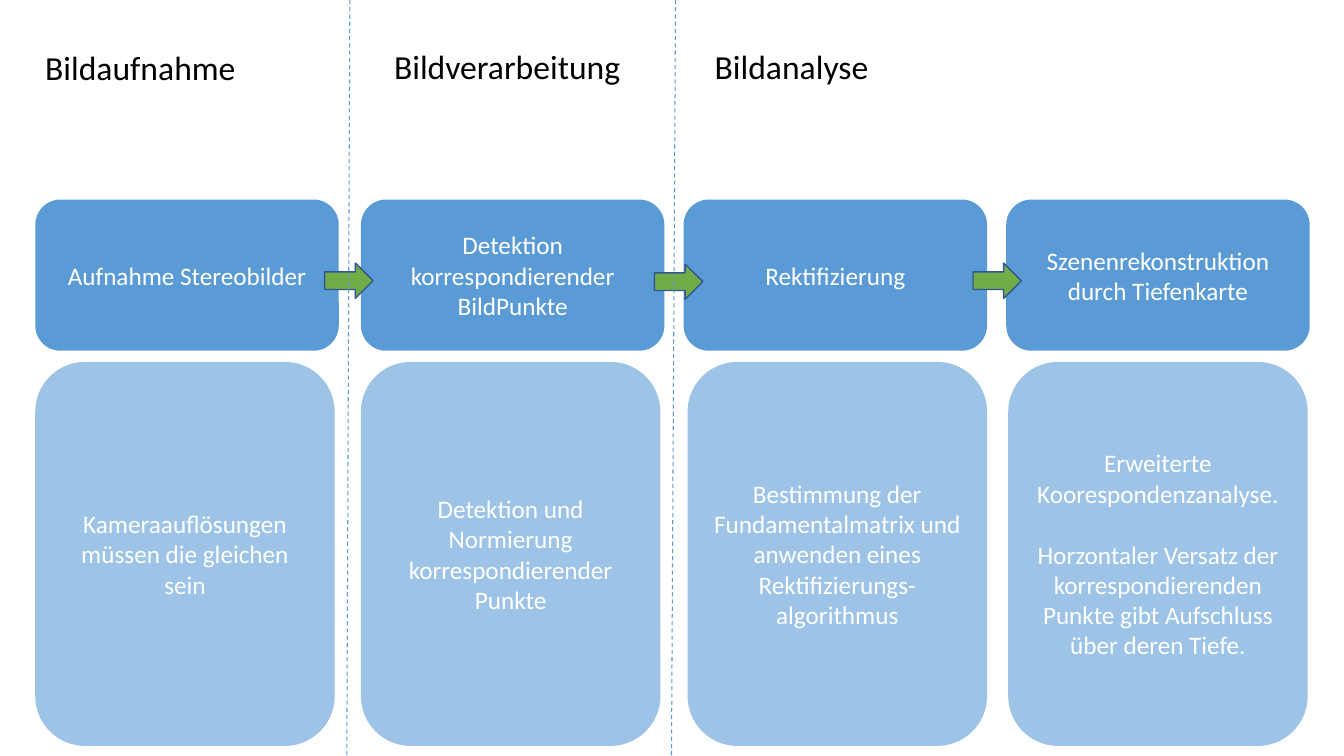
from dataclasses import dataclass
from lxml.etree import SubElement
from pptx import Presentation
from pptx.dml.color import RGBColor as RGB
from pptx.enum.dml import MSO_LINE as Dash
from pptx.enum.shapes import MSO_CONNECTOR as Conn, MSO_SHAPE as Kind
from pptx.enum.text import MSO_ANCHOR as Anchor, PP_ALIGN as Align
from pptx.oxml.ns import qn
from pptx.util import Inches, Pt


@dataclass(frozen=True)
class Theme:
    font: str = "Calibri"
    head: int = 24
    body: int = 18
    gap: int = 22
    ink: str = "000000"
    light: str = "FFFFFF"
    step: str = "5B9BD5"
    note: str = "9DC3E6"
    arrow: str = "70AD47"
    edge: str = "325491"


class Board:
    def __init__(self, slide, theme):
        self.slide = slide
        self.theme = theme

    def label(self, frame, text, size, color, align):
        frame.word_wrap = True
        frame.text = text
        for i, para in enumerate(frame.paragraphs):
            para.alignment = align
            if i:
                para.space_before = Pt(self.theme.gap)
            for run in para.runs:
                run.font.name = self.theme.font
                run.font.size = Pt(size)
                run.font.color.rgb = RGB.from_string(color)

    def shape(self, kind, box, fill):
        shape = self.slide.shapes.add_shape(kind, *map(Inches, box))
        shape.shadow.inherit = False
        shape.fill.solid()
        shape.fill.fore_color.rgb = RGB.from_string(fill)
        shape.line.fill.background()
        return shape

    def heading(self, text, left, top):
        box = self.slide.shapes.add_textbox(
            Inches(left), Inches(top), Inches(3.01), Inches(0.5))
        self.label(box.text_frame, text, self.theme.head, self.theme.ink, Align.LEFT)

    def card(self, text, box, fill):
        frame = self.shape(Kind.ROUNDED_RECTANGLE, box, fill).text_frame
        frame.vertical_anchor = Anchor.MIDDLE
        self.label(frame, text, self.theme.body, self.theme.light, Align.CENTER)

    def arrow(self, left, top):
        shape = self.shape(Kind.RIGHT_ARROW, (left, top, 0.48, 0.35), self.theme.arrow)
        shape.line.color.rgb = RGB.from_string(self.theme.edge)
        shape.line.width = Pt(1)

    def divider(self, start, end):
        line = self.slide.shapes.add_connector(
            Conn.STRAIGHT, Inches(start), Inches(0), Inches(end), Inches(7.5))
        line.line.color.rgb = RGB.from_string(self.theme.step)
        line.line.width = Pt(0.75)
        line.line.dash_style = Dash.DASH
        SubElement(line._element.spPr, qn("a:effectLst"))


deck = Presentation()
deck.slide_width, deck.slide_height = Inches(13.33), Inches(7.5)
theme = Theme()
board = Board(deck.slides.add_slide(deck.slide_layouts[6]), theme)

# Phase headings
for text, left, top in (("Bildaufnahme", 0.35, 0.42),
                        ("Bildverarbeitung", 3.81, 0.41),
                        ("Bildanalyse", 6.99, 0.41)):
    board.heading(text, left, top)

# Process steps, each with its note below: step left, note left, texts
columns = (
    (0.35, 0.35, "Aufnahme Stereobilder",
     "Kameraauflösungen müssen die gleichen sein"),
    (3.58, 3.58, "Detektion korrespondierender BildPunkte",
     "Detektion und Normierung korrespondierender Punkte"),
    (6.78, 6.82, "Rektifizierung",
     "Bestimmung der Fundamentalmatrix und anwenden eines "
     "Rektifizierungs-algorithmus"),
    (9.98, 10, "Szenenrekonstruktion durch Tiefenkarte",
     "Erweiterte Koorespondenzanalyse.\n"
     "Horzontaler Versatz der korrespondierenden Punkte gibt Aufschluss "
     "über deren Tiefe."),
)
for left, inset, step, note in columns:
    board.card(step, (left, 1.98, 3.01, 1.5), theme.step)
    board.card(note, (inset, 3.59, 2.97, 3.81), theme.note)

# Arrows between the steps
for left, top in ((3.22, 2.61), (6.49, 2.62), (9.65, 2.61)):
    board.arrow(left, top)

# Dashed lines between the phases
for start, end in ((3.47, 3.44), (6.7, 6.66)):
    board.divider(start, end)

deck.save("out.pptx")
